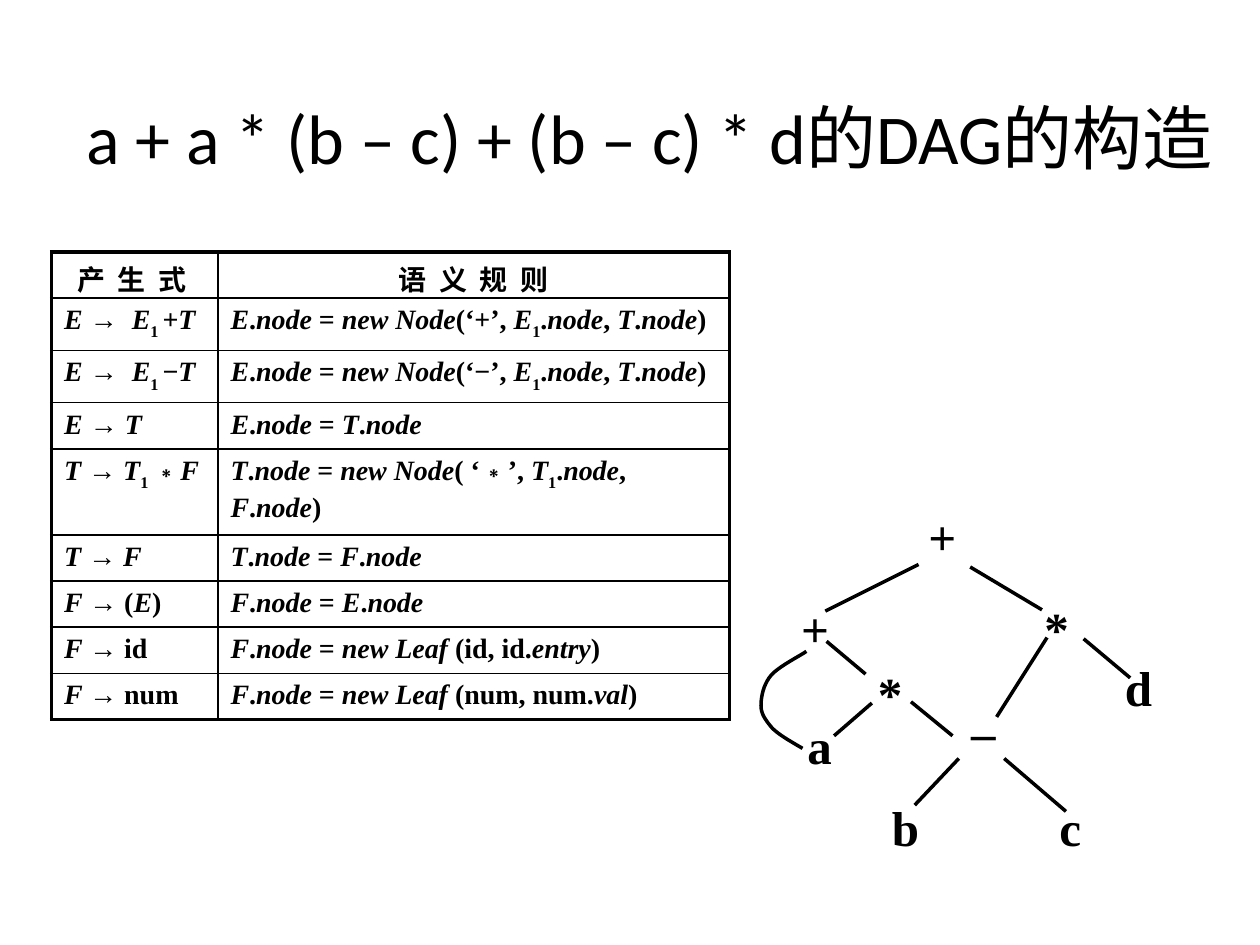
from typing import NamedTuple

from pptx import Presentation
from pptx import util as u
from pptx.dml.color import RGBColor
from pptx.enum import shapes, text
from pptx.oxml import ns, xmlchemy

BLACK = RGBColor(0, 0, 0)
SERIF = "Times New Roman"
HAN = "Noto Sans CJK SC"
THICK, THIN = 2.25, 1
ITALIC_MARK, SUBSCRIPT_MARK = "/", "_"


class Node(NamedTuple):
    label: str
    left: float
    top: float
    width: float = 0.66
    height: float = 0.43


class Edge(NamedTuple):
    x1: float
    y1: float
    x2: float
    y2: float


class Rule(NamedTuple):
    production: str
    action: str


NODES = [
    Node("+", 7.27, 4.01, 0.94),
    Node("+", 6.26, 4.74),
    Node("*", 8.19, 4.74, 0.55, 0.56),
    Node("*", 6.87, 5.26, 0.56),
    Node("–", 7.61, 5.56, 0.55),
    Node("d", 8.83, 5.21),
    Node("b", 6.98, 6.32),
    Node("c", 8.31, 6.32),
    Node("a", 6.31, 5.67, 0.55),
]
EDGES = [
    Edge(7.29, 4.48, 6.55, 4.85),
    Edge(7.7, 4.5, 8.27, 4.84),
    Edge(8.31, 5.06, 7.91, 5.69),
    Edge(7.97, 6.02, 8.46, 6.44),
    Edge(7.23, 5.57, 7.56, 5.84),
    Edge(6.92, 5.58, 6.62, 5.84),
    Edge(7.61, 6.02, 7.26, 6.39),
    Edge(8.6, 5.07, 8.97, 5.38),
    Edge(6.56, 5.09, 6.87, 5.35),
]
# Start point, then two control points and an end point for each Bézier segment.
LOOP = [
    (6.4, 5.17),
    (6.36, 5.2), (6.18, 5.29), (6.12, 5.36),
    (6.06, 5.43), (6.04, 5.53), (6.04, 5.6),
    (6.04, 5.67), (6.08, 5.72), (6.13, 5.78),
    (6.19, 5.84), (6.32, 5.91), (6.37, 5.94),
]
# Slashes switch italics, underscores switch subscript.
RULES = [
    Rule("/E /→  /E/_1 _+/T/", "/E/./node/ = /new Node/(‘+’, /E/_1_./node/, /T/./node/)"),
    Rule("/E /→  /E/_1 _−/T/", "/E/./node/ = /new Node/(‘−’, /E/_1_./node/, /T/./node/)"),
    Rule("/E /→ /T/", "/E/./node/ = /T/./node/"),
    Rule("/T /→ /T/_1 _∗/F/", "/T/./node/ = /new Node/( ‘∗’, /T/_1_./node/, /F/./node/)"),
    Rule("/T /→ /F/", "/T/./node/ = /F/./node/"),
    Rule("/F /→ (/E/)", "/F/./node/ = /E/./node/"),
    Rule("/F /→ id", "/F/./node/ = /new Leaf /(id, id./entry/)"),
    Rule("/F /→ num", "/F/./node/ = /new Leaf /(num, num./val/)"),
]


def write(frame, content: str, size: float, font: str = SERIF, asian: str = HAN,
          bold: bool = True, align=text.PP_ALIGN.LEFT, spacing: float = 1.0) -> None:
    """Fill a text frame, splitting the content into runs at its format marks."""
    paragraph = frame.paragraphs[0]
    paragraph.alignment = align
    paragraph.line_spacing = spacing
    italic = subscript = False
    pieces = content.replace(ITALIC_MARK, f"\n{ITALIC_MARK}\n")
    pieces = pieces.replace(SUBSCRIPT_MARK, f"\n{SUBSCRIPT_MARK}\n")
    for piece in pieces.split("\n"):
        if piece == ITALIC_MARK:
            italic = not italic
        elif piece == SUBSCRIPT_MARK:
            subscript = not subscript
        elif piece:
            run = paragraph.add_run()
            run.text = piece
            run.font.name, run.font.size = font, u.Pt(size)
            run.font.bold, run.font.italic = bold, italic
            run.font.color.rgb = BLACK
            properties = run.font._element
            if subscript:
                properties.set("baseline", "-30000")
            latin = properties.find(ns.qn("a:latin"))
            east_asian = xmlchemy.OxmlElement("a:ea")
            east_asian.set("typeface", asian)
            latin.addnext(east_asian)


def add_text_box(slide, left: float, top: float, width: float, height: float, inset: float):
    frame = slide.shapes.add_textbox(*map(u.Inches, (left, top, width, height))).text_frame
    frame.word_wrap = True
    frame.margin_top = frame.margin_bottom = u.Inches(inset)
    return frame


def add_node(slide, node: Node) -> None:
    frame = add_text_box(slide, node.left, node.top, node.width, node.height, 0.01)
    write(frame, node.label, 28, asian=SERIF, align=text.PP_ALIGN.JUSTIFY)


def add_edge(slide, edge: Edge) -> None:
    connector = slide.shapes.add_connector(
        shapes.MSO_CONNECTOR.STRAIGHT, *map(u.Inches, edge))
    connector.line.color.rgb = BLACK
    connector.line.width = u.Pt(2)
    connector._element.spPr.append(xmlchemy.OxmlElement("a:effectLst"))


def add_loop(slide, points: list, steps: int = 10) -> None:
    """Draw a chain of cubic Bézier segments as a smooth open outline."""
    curve = []
    for first in range(0, len(points) - 1, 3):
        corners = points[first:first + 4]
        for step in range(1, steps + 1):
            t = step / steps
            weights = ((1 - t) ** 3, 3 * t * (1 - t) ** 2, 3 * t ** 2 * (1 - t), t ** 3)
            curve.append(tuple(
                u.Inches(sum(w * corner[axis] for w, corner in zip(weights, corners)))
                for axis in (0, 1)))
    builder = slide.shapes.build_freeform(*map(u.Inches, points[0]))
    builder.add_line_segments(curve, close=False)
    shape = builder.convert_to_shape()
    shape.shadow.inherit = False
    shape.fill.background()
    shape.line.color.rgb = BLACK
    shape.line.width = u.Pt(2)


def set_borders(cell, **widths: float) -> None:
    properties = cell._tc.get_or_add_tcPr()
    for index, (side, width) in enumerate(widths.items()):
        line = xmlchemy.OxmlElement(f"a:{side}")
        line.set("w", str(u.Pt(width)))
        fill = xmlchemy.OxmlElement("a:solidFill")
        color = xmlchemy.OxmlElement("a:srgbClr")
        color.set("val", str(BLACK))
        fill.append(color)
        line.append(fill)
        properties.insert(index, line)


def add_rule_table(slide) -> None:
    row_count = len(RULES) + 1
    table = slide.shapes.add_table(
        row_count, 2, *map(u.Inches, (0.41, 2, 5.38, 0.36 * row_count))).table
    table.first_row = table.horz_banding = False
    for column, width in zip(table.columns, (1.32, 4.06)):
        column.width = u.Inches(width)
    for row in table.rows:
        row.height = u.Inches(0.36)
    for r, rule in enumerate([Rule("产  生  式 ", "语  义  规  则"), *RULES]):
        for c, content in enumerate(rule):
            cell = table.cell(r, c)
            cell.fill.background()
            if r == 0:
                write(cell.text_frame, content, 16, font=HAN, align=text.PP_ALIGN.CENTER)
            else:
                write(cell.text_frame, content, 16, asian=SERIF)
            set_borders(cell,
                        lnL=THICK if c == 0 else THIN,
                        lnR=THICK if c == 1 else THIN,
                        lnT=THICK if r == 0 else THIN,
                        lnB=THICK if r == row_count - 1 else THIN)


def main() -> None:
    presentation = Presentation()
    presentation.slide_width, presentation.slide_height = u.Inches(10), u.Inches(7.5)
    slide = presentation.slides.add_slide(presentation.slide_layouts[6])
    title = add_text_box(slide, 0.59, 0.4, 9.26, 1.45, 0.05)
    title.vertical_anchor = text.MSO_ANCHOR.MIDDLE
    write(title, "a + a * (b – c) + (b – c) * d的DAG的构造", 40,
          font="Calibri", bold=False, spacing=0.9)
    for node in NODES:
        add_node(slide, node)
    for edge in EDGES:
        add_edge(slide, edge)
    add_loop(slide, LOOP)
    add_rule_table(slide)
    presentation.save("out.pptx")


if __name__ == "__main__":
    main()
